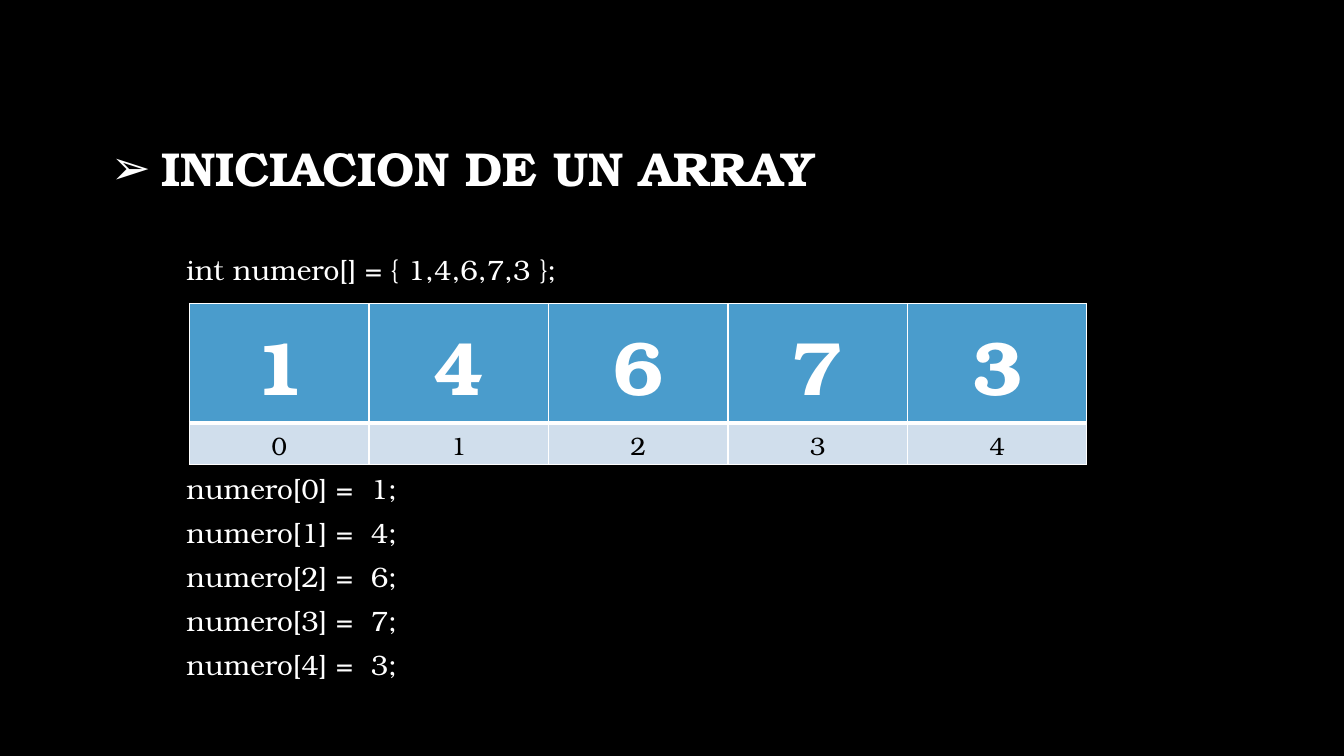
from lxml import etree
from pptx import Presentation
from pptx import util as u
from pptx.dml.color import RGBColor
from pptx.enum import text
from pptx.oxml.ns import qn

TITLE = "INICIACION DE UN ARRAY"
VALUES = [1, 4, 6, 7, 3]
DECLARATION = [f"int numero[] = {{ {','.join(map(str, VALUES))} }};"]
ASSIGNMENTS = [f"numero[{i}] =  {value};" for i, value in enumerate(VALUES)]

FONT = "TeX Gyre Bonum"
BLACK = RGBColor(0, 0, 0)
WHITE = RGBColor(255, 255, 255)
BLUE = RGBColor(0x4A, 0x9C, 0xCC)
PALE_BLUE = RGBColor(0xD0, 0xDE, 0xEC)

# Inches
SLIDE_W, SLIDE_H = 13.33, 7.5
INDENT = 0.5
CODE_LEFT, CODE_WIDTH = 1.25, 11.32
DECLARATION_TOP = 2.42
LINE_PITCH = 0.436
TABLE_LEFT, TABLE_TOP = 1.88, 3.01
COLUMN_W = 1.78
# Texts, height, fill, font size, bold, font colour, top and bottom border
ARRAY_ROWS = [
    (VALUES, 1.19, BLUE, 54, True, WHITE, 1, 3),
    (range(len(VALUES)), 0.41, PALE_BLUE, 18, False, BLACK, 3, 1),
]


def set_font(paragraph, size, color, bold=False):
    font = paragraph.font
    font.name, font.size, font.bold = FONT, u.Pt(size), bold
    font.color.rgb = color


def add_lines(slide, lines, left, top, width, height, size, spacing,
              before=0, bold=False, bullet=None):
    """Add indented lines; a bullet hangs to the left of its text."""
    frame = slide.shapes.add_textbox(
        *map(u.Inches, (left, top, width, height))).text_frame
    frame.word_wrap = True
    frame.text = "\n".join(lines)
    for paragraph in frame.paragraphs:
        paragraph.line_spacing = spacing
        paragraph.space_before = u.Pt(before)
        props = paragraph._p.get_or_add_pPr()
        props.set("marL", str(u.Inches(INDENT)))
        props.set("indent", str(u.Inches(-INDENT if bullet else 0)))
        if bullet:
            etree.SubElement(props, qn("a:buFont"), typeface="Arial")
            etree.SubElement(props, qn("a:buChar"), char=bullet)
        set_font(paragraph, size, WHITE, bold)
    return frame


def add_borders(cell, top, bottom):
    props = cell._tc.get_or_add_tcPr()
    for side, width in zip("LRTB", (1, 1, top, bottom)):
        line = etree.SubElement(props, qn(f"a:ln{side}"), w=str(u.Pt(width)))
        fill = etree.SubElement(line, qn("a:solidFill"))
        etree.SubElement(fill, qn("a:srgbClr"), val=str(WHITE))


def add_array_table(slide):
    height = sum(row[1] for row in ARRAY_ROWS)
    table = slide.shapes.add_table(
        len(ARRAY_ROWS), len(VALUES), u.Inches(TABLE_LEFT), u.Inches(TABLE_TOP),
        u.Inches(COLUMN_W * len(VALUES)), u.Inches(height)).table
    for r, (texts, height, fill, size, bold, color, top, bottom) in enumerate(ARRAY_ROWS):
        table.rows[r].height = u.Inches(height)
        for c, content in enumerate(texts):
            cell = table.cell(r, c)
            add_borders(cell, top, bottom)
            cell.fill.solid()
            cell.fill.fore_color.rgb = fill
            cell.text = str(content)
            paragraph = cell.text_frame.paragraphs[0]
            paragraph.alignment = text.PP_ALIGN.CENTER
            set_font(paragraph, size, color, bold)


def main():
    deck = Presentation()
    deck.slide_width, deck.slide_height = u.Inches(SLIDE_W), u.Inches(SLIDE_H)
    slide = deck.slides.add_slide(deck.slide_layouts[6])
    slide.background.fill.solid()
    slide.background.fill.fore_color.rgb = BLACK

    title = add_lines(slide, [TITLE], 1, 0.97, 8.78, 1.45, 34, 0.9,
                      bold=True, bullet="➢")
    title.vertical_anchor = text.MSO_ANCHOR.MIDDLE
    # The table takes the four lines between the declaration and the assignments
    for lines, row in ((DECLARATION, 0), (ASSIGNMENTS, 5)):
        add_lines(slide, lines, CODE_LEFT, DECLARATION_TOP + row * LINE_PITCH,
                  CODE_WIDTH, len(lines) * LINE_PITCH + 0.1, 20, 1.1, before=5)
    add_array_table(slide)
    deck.save("out.pptx")


if __name__ == "__main__":
    main()
